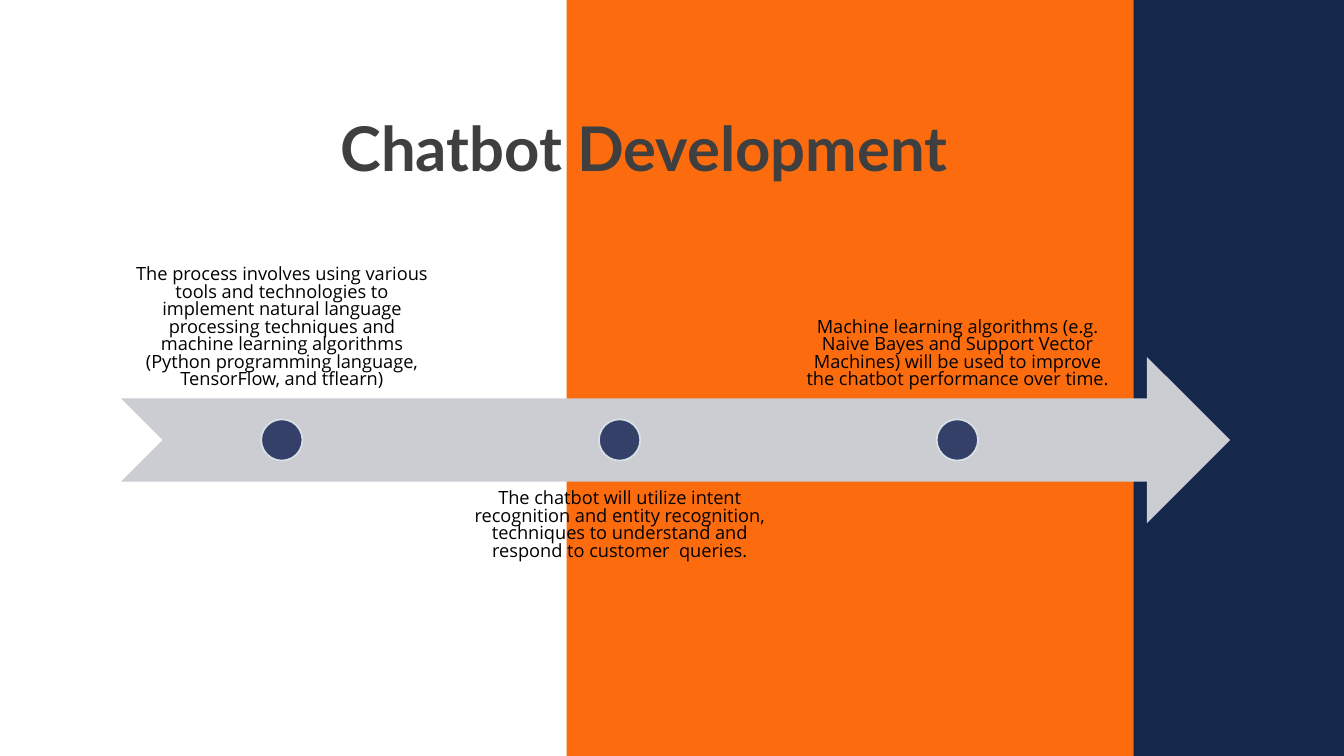
from pptx import Presentation
from pptx.dml.color import RGBColor
from pptx.enum.shapes import MSO_SHAPE
from pptx.enum.text import MSO_ANCHOR, PP_ALIGN
from pptx.util import Inches, Pt

COLORS = {
    "white": "FFFFFF",
    "orange": "FC6C0F",
    "navy": "15284C",
    "title": "3F3F3F",
    "arrow": "CCCDD2",
    "dot": "344068",
    "dot_line": "D8E0E5",
    "text": "000000",
}

# Left edge, width and colour of each background band
BANDS = [(0, 5.62, "white"), (5.62, 5.62, "orange"), (11.24, 2.09, "navy")]

STEPS = [
    "The process involves using various tools and technologies to implement "
    "natural language processing techniques and machine learning algorithms "
    "(Python programming language, TensorFlow, and tflearn)",
    "The chatbot will utilize intent recognition and entity recognition, "
    "techniques to understand and respond to customer  queries.",
    "Machine learning algorithms (e.g. Naive Bayes and Support Vector Machines) "
    "will be used to improve the chatbot performance over time.",
]

STEP_LEFT, STEP_PITCH = 1.2, 3.35
STEP_WIDTH, STEP_HEIGHT = 3.19, 1.65
ABOVE_TOP, BELOW_TOP = 2.31, 4.77
DOT_SIZE, DOT_TOP = 0.41, 4.16


def color(name):
    return RGBColor.from_string(COLORS[name])


def add_filled_shape(slide, kind, left, top, width, height, fill, line=None):
    shape = slide.shapes.add_shape(
        kind, Inches(left), Inches(top), Inches(width), Inches(height))
    shape.shadow.inherit = False
    shape.fill.solid()
    shape.fill.fore_color.rgb = color(fill)
    if line:
        shape.line.color.rgb = color(line)
        shape.line.width = Pt(1.25)
    else:
        shape.line.fill.background()
    return shape


def write_text(box, text, anchor, font, size, fill, spacing, bold=False):
    frame = box.text_frame
    frame.word_wrap = True
    frame.vertical_anchor = anchor
    frame.text = text
    para = frame.paragraphs[0]
    para.alignment = PP_ALIGN.CENTER
    para.line_spacing = spacing
    span = para.runs[0]
    span.font.name = font
    span.font.size = Pt(size)
    span.font.bold = bold
    span.font.color.rgb = color(fill)


def place_title(slide, text):
    title = slide.shapes.title
    title.left, title.top = Inches(0.89), Inches(0.29)
    title.width, title.height = Inches(11), Inches(1.59)
    write_text(title, text, MSO_ANCHOR.BOTTOM, "Lato", 44, "title", 0.9, bold=True)
    # Bring the title in front of the bands
    slide.shapes._spTree.append(title._element)


def add_step(slide, index, text):
    left = STEP_LEFT + index * STEP_PITCH
    above = index % 2 == 0
    box = slide.shapes.add_textbox(
        Inches(left), Inches(ABOVE_TOP if above else BELOW_TOP),
        Inches(STEP_WIDTH), Inches(STEP_HEIGHT))
    frame = box.text_frame
    frame.margin_left = frame.margin_right = Inches(0.1)
    frame.margin_top = frame.margin_bottom = Inches(0.1)
    anchor = MSO_ANCHOR.BOTTOM if above else MSO_ANCHOR.TOP
    write_text(box, text, anchor, "Open Sans", 13, "text", 0.8)
    add_filled_shape(slide, MSO_SHAPE.OVAL, left + (STEP_WIDTH - DOT_SIZE) / 2,
                     DOT_TOP, DOT_SIZE, DOT_SIZE, "dot", "dot_line")


def main():
    deck = Presentation()
    deck.slide_width, deck.slide_height = Inches(13.33), Inches(7.5)
    page = deck.slides.add_slide(deck.slide_layouts.get_by_name("Title Only"))

    # Background bands
    for left, width, fill in BANDS:
        add_filled_shape(page, MSO_SHAPE.RECTANGLE, left, 0, width, 7.5, fill)

    place_title(page, "Chatbot Development")

    # Timeline arrow and its steps
    add_filled_shape(page, MSO_SHAPE.NOTCHED_RIGHT_ARROW, 1.2, 3.54, 11, 1.65, "arrow")
    for index, text in enumerate(STEPS):
        add_step(page, index, text)

    deck.save("out.pptx")


if __name__ == "__main__":
    main()
